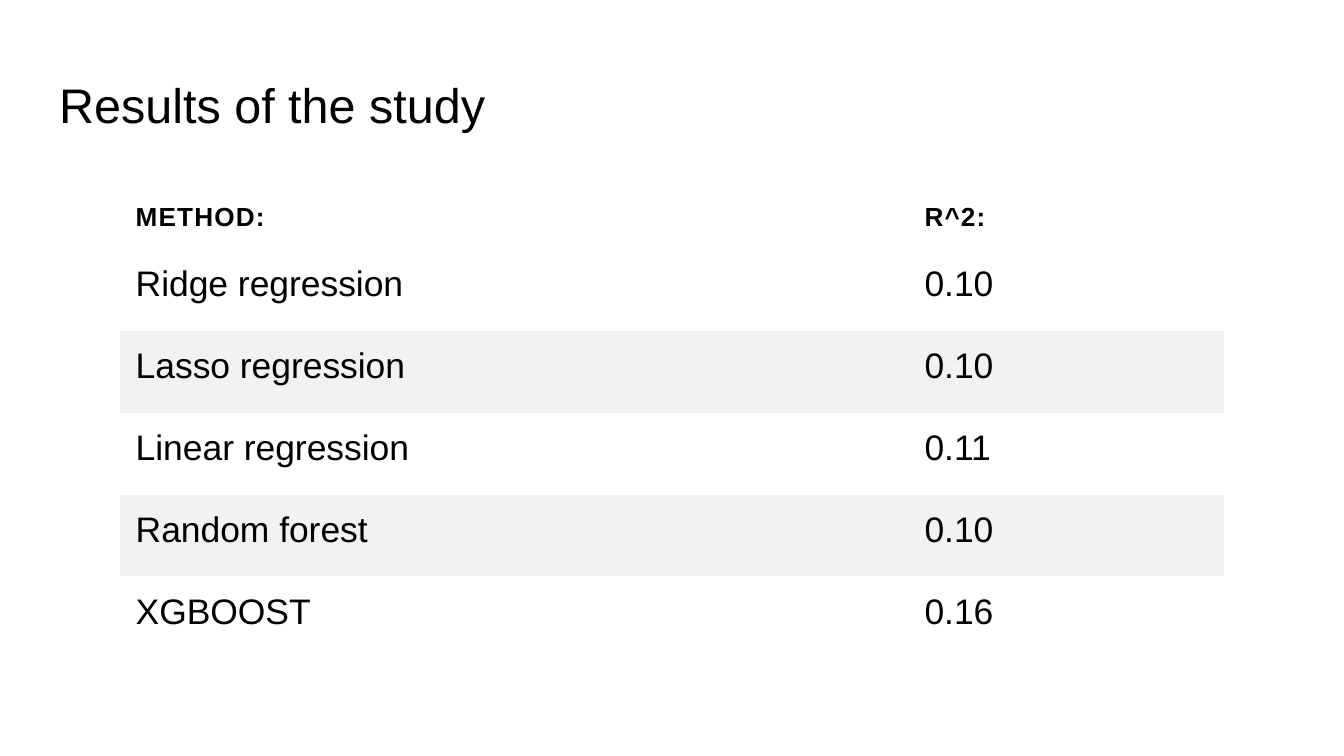
from pptx import Presentation
from pptx.dml.color import RGBColor
from pptx.enum.text import MSO_ANCHOR, PP_ALIGN
from pptx.oxml.ns import qn
from pptx.util import Inches, Pt

MIDDLE, BOTTOM, TOP = MSO_ANCHOR.MIDDLE, MSO_ANCHOR.BOTTOM, MSO_ANCHOR.TOP
LEFT = PP_ALIGN.LEFT
TITLE_ONLY = 5
PLAIN_TABLE = "{2D5ABB26-0587-4C30-8999-92F81FD0307C}"
COLORS = {"text": "000000", "band": "F2F2F2", "page": "FFFFFF"}
WIDTH = 10
HEIGHT = WIDTH * 9 / 16


class Page:
    """Holds the style and the current slide; lengths are in inches."""

    font = "Arial"

    def __init__(self, deck):
        self.slide = deck.slides.add_slide(deck.slide_layouts[TITLE_ONLY])
        background = self.slide.background.fill
        background.solid()
        background.fore_color.rgb = RGBColor.from_string(COLORS["page"])

    def style(self, para, size, bold=False):
        para.alignment = LEFT
        para.font.name = self.font
        para.font.size = Pt(size)
        para.font.bold = bold
        para.font.color.rgb = RGBColor.from_string(COLORS["text"])

    def pad(self, box, inset):
        box.margin_left = box.margin_right = Inches(inset)
        box.margin_top = box.margin_bottom = Inches(inset)

    def title(self, text, left, top, height):
        box = self.slide.shapes.title
        box.left, box.top = Inches(left), Inches(top)
        box.width, box.height = Inches(WIDTH - 2 * left), Inches(height)
        frame = box.text_frame
        frame.text = text
        frame.word_wrap = True
        frame.vertical_anchor = MIDDLE
        self.pad(frame, 0.1)
        para = frame.paragraphs[0]
        para.line_spacing = 0.9
        self.style(para, 26)

    def cell(self, cell, text, header, banded):
        cell.text = text
        cell.vertical_anchor = BOTTOM if header else TOP
        self.pad(cell, 0.12)
        para = cell.text_frame.paragraphs[0]
        self.style(para, 14 if header else 19, bold=header)
        if header:
            # Letter spacing in hundredths of a point
            para.runs[0]._r.get_or_add_rPr().set("spc", "60")
        if banded:
            cell.fill.solid()
            cell.fill.fore_color.rgb = RGBColor.from_string(COLORS["band"])
        else:
            cell.fill.background()

    def table(self, rows, left, top, widths, header_height, row_height):
        heights = [header_height] + [row_height] * (len(rows) - 1)
        frame = self.slide.shapes.add_table(
            len(rows), len(widths), Inches(left), Inches(top),
            Inches(sum(widths)), Inches(sum(heights)))
        table = frame.table
        table.horz_banding = False
        table._tbl.tblPr.find(qn("a:tableStyleId")).text = PLAIN_TABLE
        for column, width in zip(table.columns, widths):
            column.width = Inches(width)
        for index, (row, height) in enumerate(zip(rows, heights)):
            table.rows[index].height = Inches(height)
            banded = index > 0 and index % 2 == 0
            for cell, text in zip(table.rows[index].cells, row):
                self.cell(cell, text, header=index == 0, banded=banded)


def main():
    deck = Presentation()
    deck.slide_width, deck.slide_height = Inches(WIDTH), Inches(HEIGHT)
    page = Page(deck)

    # Title
    page.title("Results of the study", left=0.34, top=0.49, height=0.63)

    # Score of each method
    results = [
        ("METHOD:", "R^2:"),
        ("Ridge regression", "0.10"),
        ("Lasso regression", "0.10"),
        ("Linear regression", "0.11"),
        ("Random forest", "0.10"),
        ("XGBOOST", "0.16"),
    ]
    page.table(results, left=0.89, top=1.32, widths=(5.87, 2.35),
               header_height=0.53, row_height=0.61)

    deck.save("out.pptx")


if __name__ == "__main__":
    main()
